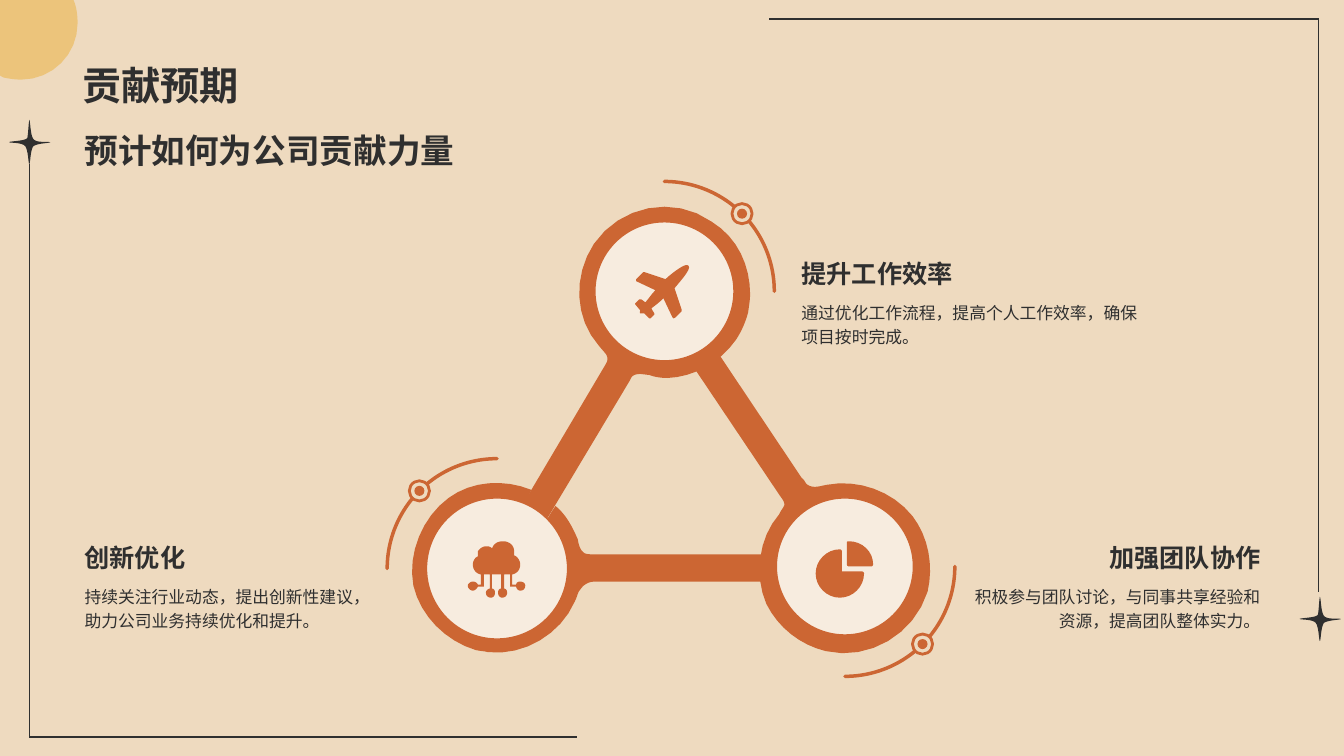
"""Build the slide on expected contributions: three linked hubs with captions."""
from lxml.etree import SubElement
from pptx import Presentation
from pptx.dml.color import RGBColor
from pptx.enum.shapes import MSO_CONNECTOR, MSO_SHAPE
from pptx.enum.text import MSO_ANCHOR, PP_ALIGN
from pptx.oxml.ns import qn
from pptx.util import Inches, Pt

COLORS = {"sand": "EEDABF", "ink": "2F2F2F", "rust": "CC6633", "cream": "F7ECDF", "sun": "EBAB2A"}
FONT = "Arial"
WIDTH, HEIGHT = 13.33, 7.5
LEFT, RIGHT = 0.74, 12.6
CAPTION_WIDTH, HEADING_HEIGHT, BODY_HEIGHT = 3.1, 0.47, 0.97
ARC_RADIUS, NODE_REACH, NODE_RADIUS, DOT_RADIUS = 1.09, 0.77, 0.1, 0.05
CURVE_STEPS = 8

TITLE = "贡献预期"
SUBTITLE = "预计如何为公司贡献力量"
FRAME = [((0.29, 7.31), (0.29, 1.63)), ((0.29, 7.31), (5.72, 7.31)),
         ((13.08, 0.19), (13.08, 5.87)), ((13.08, 0.19), (7.63, 0.19))]
STAR_OFFSETS = [(0, 0), (-12.8, -4.73)]
STAR = """M 13.3 6.14 C 13.3 6.13 13.17 6.14 13.14 6.1 C 13.11 6.06 13.11 5.93 13.1 5.92
C 13.09 5.92 13.09 6.06 13.06 6.1 C 13.02 6.13 12.89 6.13 12.89 6.14 C 12.95 6.15 13.02 6.13 13.06 6.17
C 13.09 6.21 13.09 6.36 13.1 6.36 C 13.11 6.3 13.11 6.22 13.12 6.18 C 13.14 6.15 13.3 6.15 13.3 6.14 Z"""
CORNER_SUN = """M 0 0 L 0.73 0 C 0.76 0.07 0.77 0.15 0.77 0.23 C 0.77 0.54 0.52 0.79 0.21 0.79
C 0.15 0.79 0.09 0.78 0.04 0.77 L 0 0.75 Z"""

LINK_LEFT = """M 7.8 5.77 L 5.93 5.77 C 5.89 5.77 5.85 5.77 5.82 5.79 C 5.78 5.81 5.77 5.83 5.74 5.87
C 5.73 5.89 5.72 5.93 5.7 5.97 C 5.56 6.29 5.2 6.51 4.84 6.47 C 4.8 6.46 4.77 6.46 4.72 6.45
C 4.42 6.36 4.17 6.11 4.1 5.81 C 4.04 5.49 4.19 5.13 4.45 4.94 C 4.68 4.77 5 4.75 5.27 4.86
C 5.24 4.93 5.19 5.01 5.15 5.08 C 5.24 5.12 5.31 5.17 5.37 5.24 C 5.42 5.17 5.46 5.09 5.51 5.02
C 5.61 5.1 5.68 5.23 5.73 5.35 C 5.74 5.4 5.75 5.46 5.8 5.49 C 5.83 5.5 5.85 5.5 5.89 5.5 L 7.8 5.5 Z"""
LINK_TOP = """M 5.37 5.24 C 5.31 5.17 5.23 5.12 5.14 5.08 L 6.01 3.61 C 6.05 3.55 6 3.5 6 3.5 L 5.94 3.43
C 5.7 3.16 5.68 2.74 5.89 2.42 C 6.15 2.04 6.68 1.93 7.06 2.2 C 7.32 2.36 7.44 2.64 7.44 2.92
C 7.44 2.97 7.43 3.03 7.42 3.1 C 7.4 3.18 7.36 3.28 7.3 3.37 C 7.14 3.6 6.88 3.74 6.62 3.75
C 6.56 3.75 6.49 3.74 6.44 3.72 L 6.35 3.71 C 6.28 3.71 6.26 3.74 6.25 3.77 Z"""
LINK_RIGHT = """M 7 3.32 L 7.95 4.74 C 7.98 4.76 7.99 4.8 8.01 4.81 C 8.07 4.85 8.14 4.82 8.2 4.81
C 8.51 4.75 8.85 4.87 9.05 5.12 C 9.21 5.33 9.26 5.61 9.2 5.87 C 9.07 6.29 8.62 6.56 8.19 6.46
C 7.94 6.4 7.72 6.23 7.6 5.99 C 7.48 5.71 7.52 5.34 7.73 5.1 C 7.74 5.07 7.77 5.04 7.78 5.01
C 7.78 4.97 7.75 4.94 7.73 4.91 L 6.75 3.45 Z"""

PLANE = """M 6.69 2.86 C 6.73 2.81 6.86 2.67 6.83 2.64 C 6.82 2.63 6.82 2.63 6.81 2.63
C 6.78 2.63 6.7 2.68 6.6 2.77 L 6.39 2.7 L 6.38 2.7 L 6.31 2.77 L 6.31 2.79 L 6.5 2.88
C 6.46 2.92 6.43 2.97 6.4 3 L 6.36 2.97 L 6.34 2.97 L 6.3 3.01 L 6.3 3.02 L 6.35 3.08
C 6.35 3.09 6.34 3.1 6.35 3.11 L 6.39 3.11 L 6.44 3.16 L 6.45 3.16 L 6.49 3.12 L 6.49 3.11 L 6.46 3.06
C 6.5 3.03 6.54 3 6.58 2.96 L 6.67 3.15 L 6.68 3.16 L 6.7 3.15 L 6.76 3.09 L 6.76 3.07 Z"""
PIE = """M 8.33 5.45 C 8.34 5.45 8.35 5.46 8.35 5.47 L 8.35 5.67 L 8.55 5.67 C 8.56 5.67 8.57 5.68 8.57 5.69
C 8.57 5.82 8.46 5.93 8.33 5.93 C 8.2 5.93 8.09 5.82 8.09 5.69 C 8.09 5.56 8.2 5.45 8.33 5.45 Z
M 8.42 5.37 C 8.55 5.37 8.66 5.47 8.66 5.6 C 8.66 5.61 8.65 5.62 8.64 5.62 L 8.42 5.62
C 8.41 5.62 8.4 5.61 8.4 5.6 L 8.4 5.38 C 8.4 5.37 8.41 5.37 8.42 5.37 Z"""
CLOUD_TOP = """M 5.16 5.77 C 5.14 5.77 5.12 5.78 5.12 5.8 L 5.08 5.8 L 5.08 5.7 C 5.13 5.69 5.16 5.65 5.16 5.6
C 5.16 5.56 5.13 5.52 5.1 5.51 C 5.1 5.5 5.1 5.48 5.1 5.47 C 5.1 5.41 5.05 5.37 4.99 5.37
C 4.94 5.37 4.9 5.39 4.88 5.44 C 4.86 5.42 4.84 5.42 4.82 5.42 C 4.79 5.42 4.76 5.44 4.74 5.47 L 4.74 5.52
C 4.71 5.53 4.69 5.57 4.69 5.6 C 4.69 5.65 4.72 5.69 4.77 5.7 L 4.77 5.8 L 4.74 5.8 """
CLOUD_WIRES = """C 4.73 5.78 4.71 5.77 4.69 5.77 C 4.67 5.77 4.64 5.79 4.64 5.81 C 4.64 5.84 4.67 5.86 4.69 5.86
C 4.71 5.86 4.73 5.84 4.74 5.82 L 4.8 5.82 L 4.8 5.7 L 4.86 5.7 L 4.86 5.84
C 4.84 5.84 4.82 5.86 4.82 5.88 C 4.82 5.91 4.84 5.93 4.87 5.93 C 4.89 5.93 4.91 5.91 4.91 5.88
C 4.91 5.86 4.9 5.84 4.88 5.84 L 4.88 5.7 L 4.97 5.7 L 4.97 5.84 C 4.95 5.84 4.94 5.86 4.94 5.88
C 4.94 5.91 4.96 5.93 4.98 5.93 C 5.01 5.93 5.03 5.91 5.03 5.88 C 5.03 5.86 5.02 5.84 5 5.84 L 5 5.7
L 5.06 5.7 L 5.06 5.82 L 5.12 5.82 C 5.12 5.84 5.14 5.86 5.16 5.86 C 5.19 5.86 5.21 5.84 5.21 5.81
C 5.21 5.79 5.19 5.77 5.16 5.77 Z"""

HUBS = [
    {"center": (6.59, 2.89), "disc": 0.69, "icon": PLANE, "arc": 270, "side": (1, -1),
     "left": 7.85, "top": 2.44, "width": 3.65, "align": PP_ALIGN.LEFT, "heading": "提升工作效率",
     "body": "通过优化工作流程，提高个人工作效率，确保项目按时完成。"},
    {"center": (8.38, 5.62), "disc": 0.68, "icon": PIE, "arc": 0, "side": (1, 1),
     "left": RIGHT - CAPTION_WIDTH, "top": 5.26, "width": CAPTION_WIDTH, "align": PP_ALIGN.RIGHT,
     "heading": "加强团队协作", "body": "积极参与团队讨论，与同事共享经验和资源，提高团队整体实力。"},
    {"center": (4.93, 5.64), "disc": 0.7, "icon": CLOUD_TOP + CLOUD_WIRES, "arc": 180, "side": (-1, -1),
     "left": LEFT, "top": 5.26, "width": CAPTION_WIDTH, "align": PP_ALIGN.LEFT,
     "heading": "创新优化", "body": "持续关注行业动态，提出创新性建议，助力公司业务持续优化和提升。"},
]


def fill_with(area, name):
    if name:
        area.solid()
        area.fore_color.rgb = RGBColor.from_string(COLORS[name])
    else:
        area.background()


def paint(shape, fill=None, line=None, line_width=1):
    shape.shadow.inherit = False
    fill_with(shape.fill, fill)
    fill_with(shape.line.fill, line)
    if line:
        shape.line.width = Pt(line_width)
    return shape


def curve(*controls):
    """Sample a cubic curve evenly, leaving out its start."""
    for t in (step / CURVE_STEPS for step in range(1, CURVE_STEPS + 1)):
        weights = ((1 - t) ** 3, 3 * t * (1 - t) ** 2, 3 * t * t * (1 - t), t ** 3)
        yield tuple(sum(w * value for w, value in zip(weights, values)) for values in zip(*controls))


def outlines(path_text, offset):
    """Turn path text into lists of points."""
    contours, words = [], iter(path_text.split())
    for command in words:
        points = [(float(next(words)) + offset[0], float(next(words)) + offset[1])
                  for _ in range({"M": 1, "L": 1, "C": 3, "Z": 0}[command])]
        if command == "M":
            contours.append(points)
        else:
            contours[-1] += list(curve(contours[-1][-1], *points)) if command == "C" else points
    return [[(Inches(x), Inches(y)) for x, y in contour] for contour in contours]


def add_outline(slide, path_text, fill, offset=(0, 0)):
    first, *others = outlines(path_text, offset)
    builder = slide.shapes.build_freeform(*first[0])
    builder.add_line_segments(first[1:])
    for contour in others:
        builder.move_to(*contour[0])
        builder.add_line_segments(contour[1:])
    return paint(builder.convert_to_shape(), fill)


def add_round(slide, center, radius, kind=MSO_SHAPE.OVAL, **style):
    box = (center[0] - radius, center[1] - radius, 2 * radius, 2 * radius)
    return paint(slide.shapes.add_shape(kind, *map(Inches, box)), **style)


def add_text(slide, text, box, size, bold=False, align=PP_ALIGN.LEFT, anchor=MSO_ANCHOR.TOP, spacing=None):
    frame = slide.shapes.add_textbox(*map(Inches, box)).text_frame
    frame.word_wrap, frame.vertical_anchor = True, anchor
    paragraph = frame.paragraphs[0]
    paragraph.alignment, paragraph.line_spacing = align, spacing
    run = paragraph.add_run()
    run.text = text
    run.font.name, run.font.size, run.font.bold = FONT, Pt(size), bold
    fill_with(run.font.fill, "ink")


def add_frame(slide):
    for start, end in FRAME:
        connector = slide.shapes.add_connector(MSO_CONNECTOR.STRAIGHT, *map(Inches, start + end))
        fill_with(connector.line.fill, "ink")
        connector.line.width = Pt(1)
        SubElement(connector._element.spPr, qn("a:effectLst"))
    for offset in STAR_OFFSETS:
        add_outline(slide, STAR, "ink", offset).rotation = 180
    sun = add_outline(slide, CORNER_SUN, "sun")
    SubElement(sun._element.spPr.find(".//" + qn("a:srgbClr")), qn("a:alpha"), val="45000")


def add_hub(slide, hub):
    center, left, top, width, align = (hub[key] for key in ("center", "left", "top", "width", "align"))
    arc = add_round(slide, center, ARC_RADIUS, MSO_SHAPE.ARC, line="rust", line_width=2.5)
    arc.adjustments[0], arc.adjustments[1] = hub["arc"] * 0.6, (hub["arc"] + 90) * 0.6
    arc._element.spPr.find(qn("a:ln")).set("cap", "rnd")
    node = tuple(middle + side * NODE_REACH for middle, side in zip(center, hub["side"]))
    add_round(slide, node, NODE_RADIUS, fill="sand", line="rust", line_width=2)
    add_round(slide, node, DOT_RADIUS, fill="rust")
    add_round(slide, center, hub["disc"], fill="cream", line="rust")
    add_outline(slide, hub["icon"], "rust")
    add_text(slide, hub["heading"], (left, top, width, HEADING_HEIGHT), 18, True, align, MSO_ANCHOR.BOTTOM)
    add_text(slide, hub["body"], (left, top + HEADING_HEIGHT, width, BODY_HEIGHT), 12, align=align, spacing=1.2)


def main():
    presentation = Presentation()
    presentation.slide_width, presentation.slide_height = Inches(WIDTH), Inches(HEIGHT)
    slide = presentation.slides.add_slide(presentation.slide_layouts[6])
    fill_with(slide.background.fill, "sand")
    add_frame(slide)
    for link in (LINK_LEFT, LINK_TOP, LINK_RIGHT):
        add_outline(slide, link, "rust")
    for hub in HUBS:
        add_hub(slide, hub)
    add_text(slide, SUBTITLE, (LEFT, 1.24, 4.9, 1.39), 24, bold=True)
    add_text(slide, TITLE, (0.72, 0.14, 11.88, 0.98), 28, bold=True, anchor=MSO_ANCHOR.BOTTOM)
    presentation.save("out.pptx")


if __name__ == "__main__":
    main()
